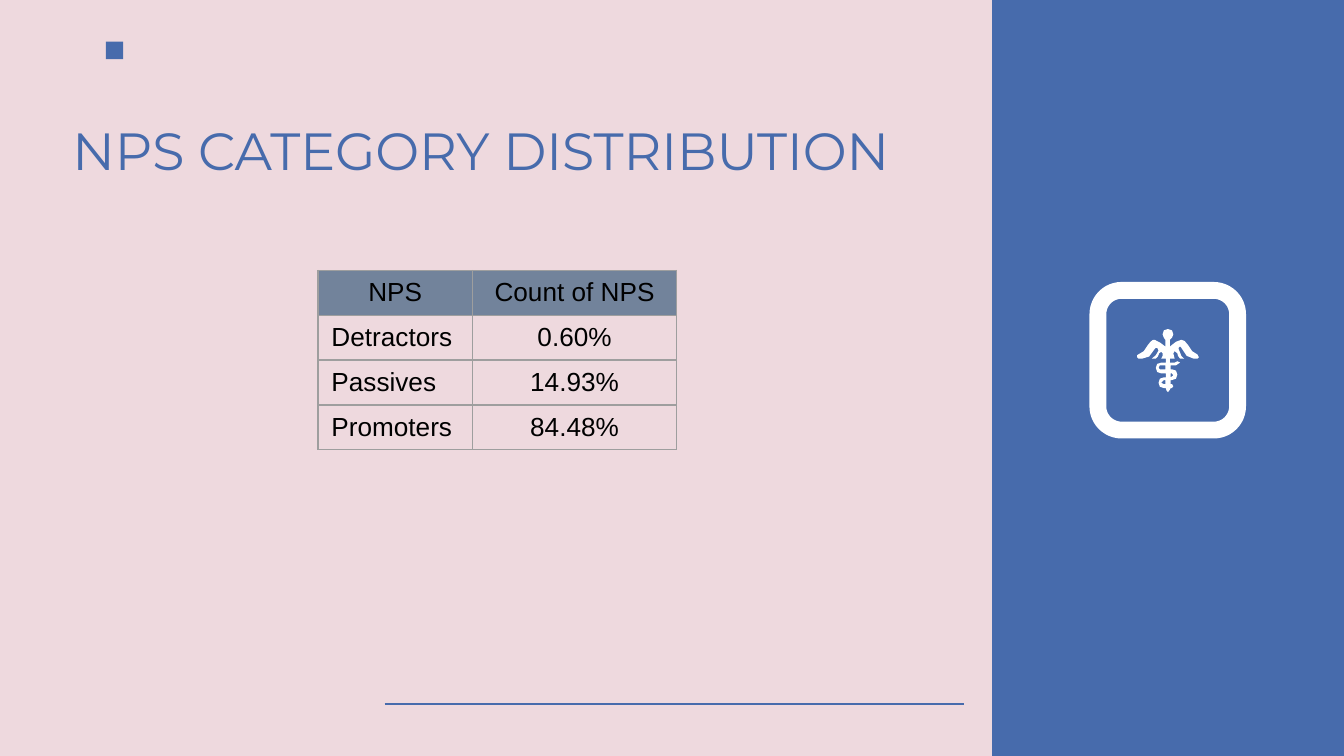
from lxml.etree import SubElement
from pptx import Presentation
from pptx.dml.color import RGBColor
from pptx.enum.shapes import MSO_CONNECTOR, MSO_SHAPE
from pptx.enum.text import MSO_ANCHOR, PP_ALIGN
from pptx.oxml import parse_xml
from pptx.oxml.ns import nsdecls, qn
from pptx.util import Cm, Pt

BLUE, PINK, WHITE, BLACK = "476BAC", "EED9DE", "FFFFFF", "000000"
HEADER, GRID = "72839B", "9E9E9E"


def paint(color_format, color):
    color_format.fore_color.rgb = RGBColor.from_string(color)


def style(sp, color):
    """Give a shape a flat fill without line or shadow."""
    sp.shadow.inherit = False
    sp.fill.solid()
    paint(sp.fill, color)
    sp.line.fill.background()


prs = Presentation()
prs.slide_width, prs.slide_height = Cm(25.4), Cm(14.29)
s = prs.slides.add_slide(prs.slide_layouts[6])
s.background.fill.solid()
paint(s.background.fill, PINK)

# Side panel, small square and footer line
for left, top, width, height in [(18.75, 0, 6.65, 14.29), (2, 0.79, 0.33, 0.33)]:
    style(s.shapes.add_shape(MSO_SHAPE.RECTANGLE, Cm(left), Cm(top), Cm(width), Cm(height)), BLUE)

line = s.shapes.add_connector(MSO_CONNECTOR.STRAIGHT, Cm(7.27), Cm(13.31), Cm(18.22), Cm(13.31))
line.line.fill.solid()
paint(line.line.fill, BLUE)
line.line.width = Pt(0.75)
SubElement(line.element.spPr, qn("a:effectLst"))

# Title
title = s.shapes.add_textbox(Cm(1.12), Cm(1.98), Cm(18.03), Cm(2.92))
tf = title.text_frame
tf.word_wrap = True
tf.margin_left = tf.margin_right = tf.margin_top = tf.margin_bottom = Cm(0.25)
tf.text = "NPS CATEGORY DISTRIBUTION"
r = tf.paragraphs[0].runs[0]
r.font.size, r.font.name = Pt(28), "Montserrat"
r.font.color.rgb = RGBColor.from_string(BLUE)

# Table
rows = [
    ("NPS", "Count of NPS"),
    ("Detractors", "0.60%"),
    ("Passives", "14.93%"),
    ("Promoters", "84.48%"),
]
table = s.shapes.add_table(len(rows), 2, Cm(6.01), Cm(5.11), Cm(6.78), Cm(3.3)).table
table.first_row = table.horz_banding = False
table.columns[0].width, table.columns[1].width = Cm(2.92), Cm(3.86)
for i, row in enumerate(rows):
    table.rows[i].height = Cm(0.84 if i else 0.75)
    for j, text in enumerate(row):
        cell = table.cell(i, j)
        cell.text = text
        cell.vertical_anchor = MSO_ANCHOR.MIDDLE
        p = cell.text_frame.paragraphs[0]
        p.alignment = PP_ALIGN.LEFT if i and j == 0 else PP_ALIGN.CENTER
        r = p.runs[0]
        r.font.size, r.font.name, r.font.bold = Pt(14), "Arial", False
        r.font.color.rgb = RGBColor.from_string(BLACK)
        tcPr = cell._tc.get_or_add_tcPr()
        for side in ("lnL", "lnR", "lnT", "lnB"):
            tcPr.append(parse_xml(
                f'<a:{side} {nsdecls("a")} w="{Pt(0.75)}"><a:solidFill>'
                f'<a:srgbClr val="{GRID}"/></a:solidFill></a:{side}>'))
        if i:
            cell.fill.background()
        else:
            cell.fill.solid()
            paint(cell.fill, HEADER)

# Icon frame
frame = s.shapes.add_shape(MSO_SHAPE.ROUNDED_RECTANGLE, Cm(20.75), Cm(5.49), Cm(2.64), Cm(2.64))
frame.adjustments[0] = 0.17
style(frame, BLUE)
frame.line.fill.solid()
paint(frame.line.fill, WHITE)
frame.line.width = Pt(9)

# Medical staff icon: outline first, then the openings between the coils
contours = [
    [(23, 0), (20, 1), (19, 4), (20, 6.5), (21, 8), (21, 13), (17, 10), (13, 8), (12, 8),
     (10, 9.5), (8, 12), (5, 16.5), (0, 19.5), (0, 21), (1, 22), (4, 22), (9, 20.5), (13, 15),
     (14, 14), (15, 14), (16, 16), (14, 19.5), (11, 22), (14, 22), (15.5, 20.5), (16.5, 18),
     (18, 17), (19, 18), (19, 20), (18, 22), (21.5, 22), (21.5, 25), (18, 25), (15, 26),
     (14, 29), (15, 32), (18, 33), (21.5, 33), (21.5, 36), (20, 36), (17, 37), (16, 40),
     (17, 43), (20, 44), (21.5, 44), (22, 46), (23, 47), (24.5, 45), (25, 44), (26, 44),
     (27, 42.5), (26, 41), (25, 41), (25, 38), (26, 38), (29, 37), (30, 34), (29, 31),
     (26, 30), (25, 30), (25, 27), (29, 27), (32, 25), (30, 24), (28, 25), (24.5, 25),
     (24.5, 22), (28, 22), (27, 18), (28, 16.5), (30, 18), (30.5, 20), (32, 22), (35, 22),
     (33, 20), (31, 15), (31, 14), (32, 13), (33, 14), (37, 20), (42, 22), (45, 22), (46, 21),
     (45, 19), (41, 16.5), (38, 12), (35.5, 9), (33, 8), (29, 9.5), (24.5, 13), (24.5, 8),
     (26, 6.5), (27, 4), (26, 1)],
    [(21, 27), (21, 30), (17, 30), (16, 29), (17, 27)],
    [(25, 33), (26, 33), (27, 34.5), (25, 36)],
    [(21, 38), (21, 41), (20, 41), (18, 40), (20, 38)],
]
UNITS = 10  # grid steps per icon unit, so that half units stay whole
scaled = [[(x * UNITS, y * UNITS) for x, y in contour] for contour in contours]
builder = s.shapes.build_freeform(*scaled[0][0], scale=Cm(2.54) / (100 * UNITS))
for n, contour in enumerate(scaled):
    if n:
        builder.move_to(*contour[0])
    builder.add_line_segments(contour[1:], close=True)
style(builder.convert_to_shape(Cm(21.49), Cm(6.22)), WHITE)

prs.save("out.pptx")
